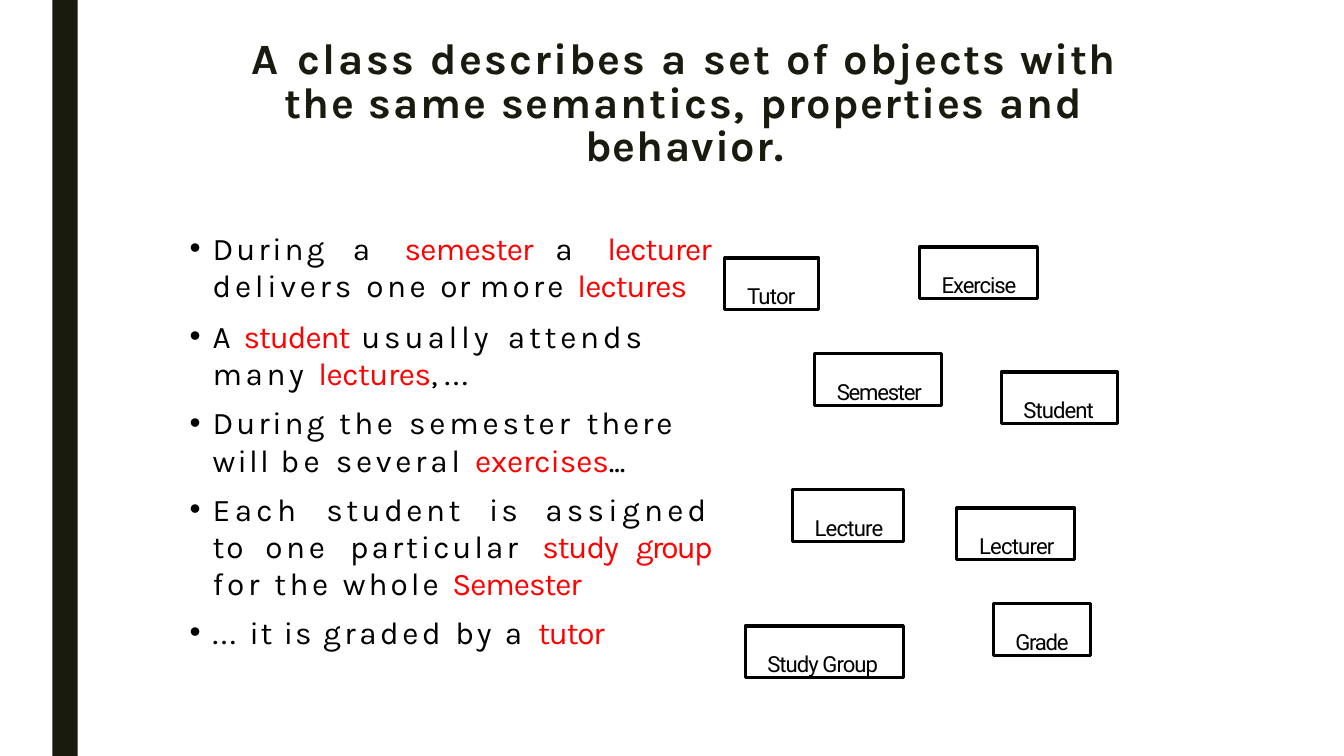
from pptx import Presentation
from pptx.dml.color import RGBColor
from pptx.enum.shapes import MSO_SHAPE
from pptx.enum.text import MSO_ANCHOR, MSO_AUTO_SIZE, PP_ALIGN
from pptx.oxml import parse_xml
from pptx.oxml.ns import nsdecls
from pptx.util import Inches, Pt

RECTANGLE = MSO_SHAPE.RECTANGLE
TOP = MSO_ANCHOR.TOP
GROW = MSO_AUTO_SIZE.SHAPE_TO_FIT_TEXT
LEFT, CENTER, JUSTIFY = PP_ALIGN.LEFT, PP_ALIGN.CENTER, PP_ALIGN.JUSTIFY

COLORS = {"dark": "191B0E", "black": "000000", "red": "FF0000", "white": "FFFFFF"}
TITLE_FONT = {"font": "Karla", "size": 30.9, "color": "dark", "bold": True}
LIST_FONT = {"font": "Karla", "size": 22.5, "color": "black"}
LABEL_FONT = {"font": "Roboto", "size": 15.8, "color": "black"}

# Each span is (text, letter spacing in points[, color]).
TITLE = [
    ("A ", 2.7), ("class ", 1.9), ("describes ", 1.5), ("a ", 2), ("set ", 1.7),
    ("of ", 1.5), ("objects ", 1.3), ("with ", 1.1), ("the ", 1.2),
    ("same semantics, ", 1.4), ("properties ", 1.1), ("and ", 1.7), ("behavior.", 0.9),
]

# Each item is (space before, line spacing, right margin in inches, spans).
ITEMS = [
    (0, 26.9, 0, [
        ("During ", 2), ("a ", 4.2), ("semester ", -0.6, "red"), ("a ", 4.2),
        ("lecturer ", -0.7, "red"), ("delivers ", 2.6), ("one ", 2.5), ("or ", 0.8),
        ("more ", 2.2), ("lectures", -0.7, "red")]),
    (9.3, 26.7, 0.64, [
        ("A ", 0.3), ("student ", -0.8, "red"), ("usually attends ", 2.7),
        ("many ", 2.5), ("lectures", -0.4, "red"), (", ", -0.4), ("...", 2.2)]),
    (8.4, 26.7, 0.35, [
        ("During ", 2), ("the ", 2.5), ("semester ", 2.7), ("there ", 2), ("will ", 1.5),
        ("be ", 3), ("several ", 2.6), ("exercises", -0.1, "red"), ("...", -0.1)]),
    (8.4, 26.7, 0, [
        ("Each ", 3.1), ("student ", 2.5), ("is ", 2.1), ("assigned ", 3), ("to ", 1.3),
        ("one ", 2.5), ("particular ", 2.1), ("study ", -0.8, "red"),
        ("group ", -1.3, "red"), ("for ", 2.6), ("the ", 2.5), ("whole ", 2.1),
        ("Semester", -0.8, "red")]),
    (7.3, None, 0, [
        ("... ", 2.2), ("it ", 1.3), ("is ", 1.4), ("graded ", 2.5), ("by ", 2),
        ("a ", 3.1), ("tutor", -0.9, "red")]),
]

CLASS_HEIGHT = 0.51
# Each class is (name, left, top, width, letter spacing).
CLASSES = [
    ("Semester", 8.08, 3.51, 1.26, -0.9),
    ("Lecturer", 9.49, 5.04, 1.17, -0.6),
    ("Lecture", 7.86, 4.86, 1.1, -0.6),
    ("Student", 9.93, 3.69, 1.15, -0.7),
    ("Exercise", 9.12, 2.45, 1.17, -0.8),
    ("Tutor", 7.19, 2.56, 0.93, -0.6),
    ("Study Group", 7.39, 6.21, 1.57, -0.7),
    ("Grade", 9.85, 5.99, 0.97, -0.9),
]


def rgb(name):
    return RGBColor.from_string(COLORS[name])


def add_span(para, text, *, font, size, color, bold=False, spacing=0):
    span = para.add_run()
    span.text = text
    span.font.name = font
    span.font.size = Pt(size)
    span.font.bold = bold
    span.font.color.rgb = rgb(color)
    span.font._element.set("spc", str(round(spacing * 100)))


def add_spans(para, spans, style):
    for text, spacing, *accent in spans:
        color = accent[0] if accent else style["color"]
        add_span(para, text, **{**style, "color": color}, spacing=spacing)


def place(shape, left, top, width, height):
    shape.left, shape.top = Inches(left), Inches(top)
    shape.width, shape.height = Inches(width), Inches(height)


def prepare_frame(shape, top_inset, left_inset=0):
    frame = shape.text_frame
    frame.word_wrap = True
    frame.auto_size = GROW
    frame.vertical_anchor = TOP
    frame.margin_left, frame.margin_top = Inches(left_inset), Inches(top_inset)
    frame.margin_right = frame.margin_bottom = 0
    return frame


def add_rectangle(page, left, top, width, height, fill, line=None):
    box = page.shapes.add_shape(
        RECTANGLE, Inches(left), Inches(top), Inches(width), Inches(height))
    box.shadow.inherit = False
    box.fill.solid()
    box.fill.fore_color.rgb = rgb(fill)
    if line:
        box.line.color.rgb = rgb(line)
        box.line.width = Pt(2.25)
    else:
        box.line.fill.background()
    return box


def fill_title(title):
    place(title, 2.26, 0.36, 9.06, 0.91)
    para = prepare_frame(title, 0.04).paragraphs[0]
    para.alignment = CENTER
    para.line_spacing = Pt(30.9)
    add_spans(para, TITLE, TITLE_FONT)


def set_bullet(para, right_margin):
    properties = para._p.get_or_add_pPr()
    properties.set("marL", str(Inches(0.26)))
    properties.set("marR", str(Inches(right_margin)))
    properties.set("indent", str(Inches(-0.23)))
    properties.append(parse_xml(f'<a:buChar {nsdecls("a")} char="•"/>'))


def fill_list(body):
    place(body, 1.85, 2.26, 5.2, 4.25)
    frame = prepare_frame(body, 0.01)
    for index, (before, line_spacing, right_margin, spans) in enumerate(ITEMS):
        para = frame.add_paragraph() if index else frame.paragraphs[0]
        set_bullet(para, right_margin)
        para.alignment = JUSTIFY
        para.space_before = Pt(before)
        para.line_spacing = Pt(line_spacing) if line_spacing else 1.0
        add_spans(para, spans, LIST_FONT)


def add_class(page, name, left, top, width, spacing):
    box = add_rectangle(page, left, top, width, CLASS_HEIGHT, "white", "black")
    para = prepare_frame(box, 0.24, 0.22).paragraphs[0]
    para.alignment = LEFT
    add_span(para, name, **LABEL_FONT, spacing=spacing)


def main():
    deck = Presentation()
    deck.slide_width, deck.slide_height = Inches(13.33), Inches(7.5)
    page = deck.slides.add_slide(deck.slide_layouts[1])
    add_rectangle(page, 0.52, 0, 0.25, 7.5, "dark")
    fill_title(page.shapes.title)
    fill_list(page.placeholders[1])
    for entry in CLASSES:
        add_class(page, *entry)
    deck.save("out.pptx")


if __name__ == "__main__":
    main()
